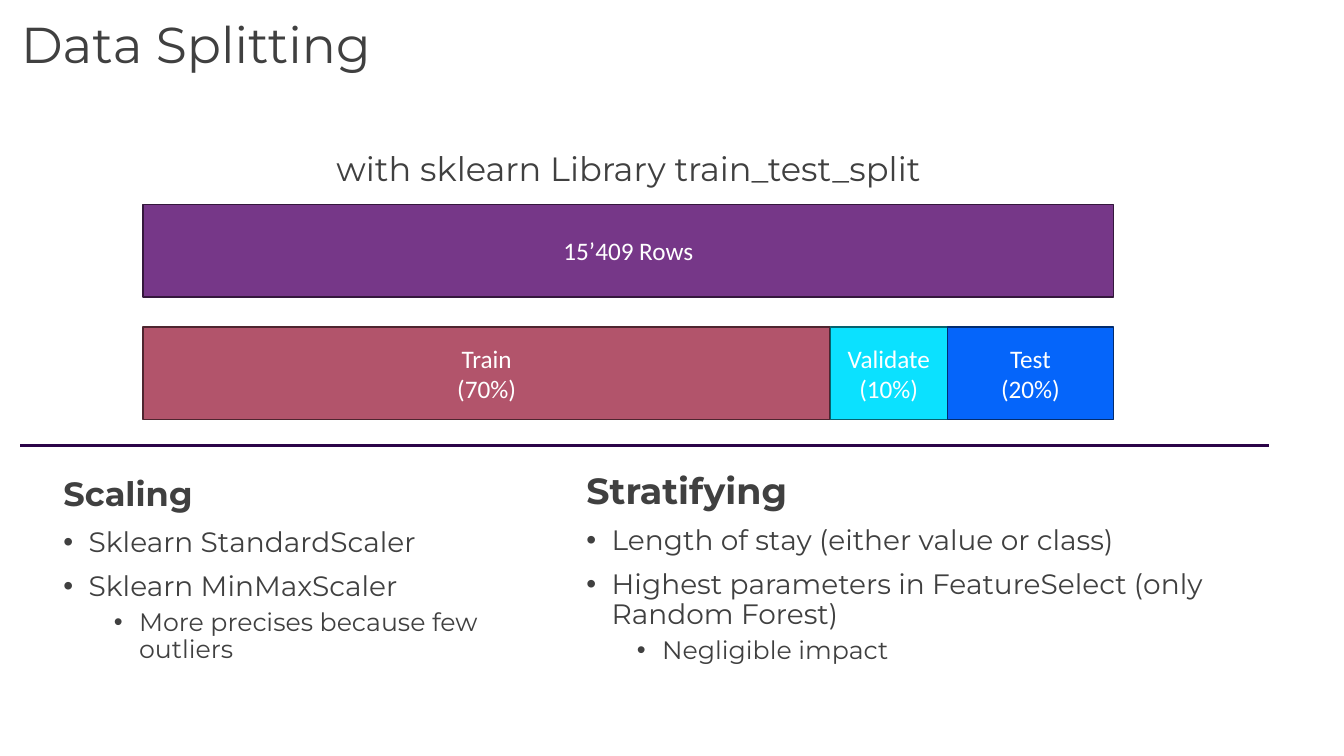
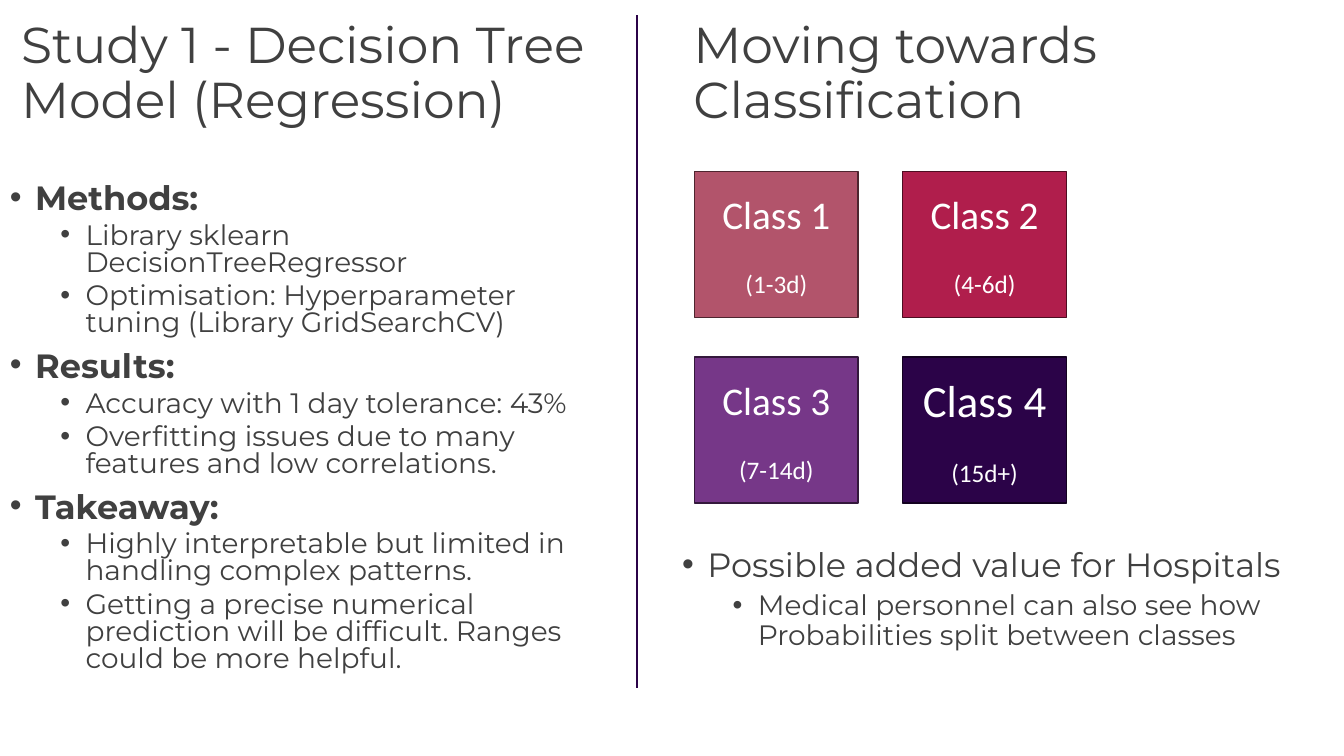
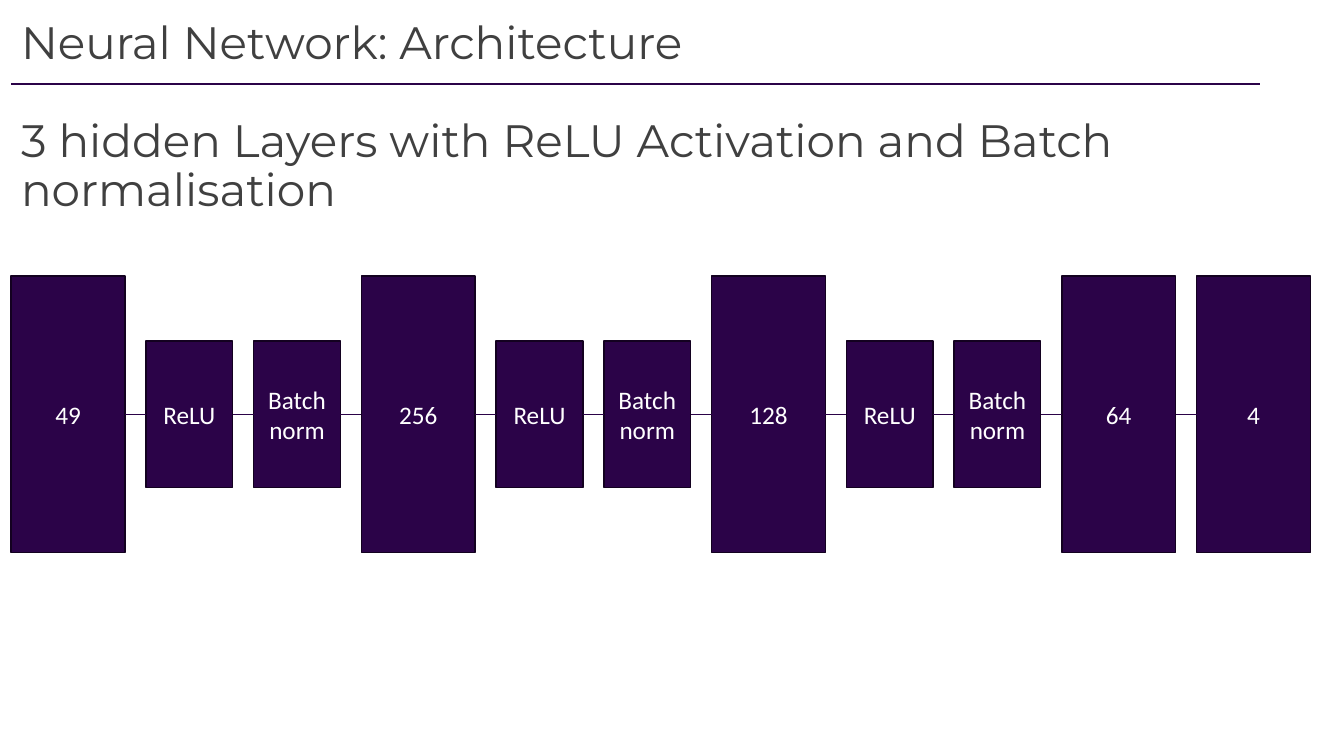
from dataclasses import dataclass
from itertools import pairwise

from lxml.etree import SubElement
from pptx import Presentation
from pptx.dml.color import RGBColor
from pptx.enum.shapes import MSO_CONNECTOR, MSO_SHAPE
from pptx.enum.text import MSO_ANCHOR, PP_ALIGN
from pptx.oxml.ns import qn
from pptx.util import Inches, Pt

# Shared look
WIDTH, HEIGHT = Inches(13.33), Inches(7.5)
TEXT_FONT, SHAPE_FONT = "Montserrat", "Calibri"
GREY = RGBColor(0x40, 0x40, 0x40)
WHITE = RGBColor(0xFF, 0xFF, 0xFF)
INDIGO = RGBColor(0x2B, 0x03, 0x48)
PURPLE = RGBColor(0x76, 0x37, 0x88)
ROSE = RGBColor(0xB2, 0x54, 0x6B)
CRIMSON = RGBColor(0xB0, 0x1E, 0x4C)
CYAN = RGBColor(0x0B, 0xE1, 0xFF)
BLUE = RGBColor(0x05, 0x65, 0xFA)
OUTLINE_SHADE = 0.44


@dataclass
class Box:
    """A region in percent of the slide's width and height."""
    left: float
    top: float
    width: float
    height: float

    def inner(self, left, top, width, height):
        """Return a region given as shares of this one."""
        return Box(self.left + left * self.width, self.top + top * self.height,
                   width * self.width, height * self.height)

    def lengths(self):
        return (int(WIDTH * self.left / 100), int(HEIGHT * self.top / 100),
                int(WIDTH * self.width / 100), int(HEIGHT * self.height / 100))


@dataclass
class Line:
    """One paragraph of a text box; level None has no bullet."""
    text: str
    size: float
    level: int | None = None
    bold: bool = False


TITLE = Box(0.83, 2, 86.25, 19.33)
LEFT_TITLE = Box(0.83, 2, 49.2, 19.33)
RIGHT_TITLE = Box(50.85, 2, 49.15, 19.33)


def format_runs(paragraph, font, size, color, bold=False):
    for run in paragraph.runs:
        run.font.name = font
        run.font.size = Pt(size)
        run.font.bold = bold
        run.font.color.rgb = color


def add_bullet(paragraph, level):
    paragraph.level = level
    properties = paragraph._p.get_or_add_pPr()
    properties.set("marL", str(Inches(0.25 + 0.5 * level)))
    properties.set("indent", str(Inches(-0.25)))
    SubElement(properties, qn("a:buFont"), typeface="Arial")
    SubElement(properties, qn("a:buChar"), char="•")


def add_text(slide, box, lines, spacing=0.9, align=PP_ALIGN.LEFT, gap=10):
    text_frame = slide.shapes.add_textbox(*box.lengths()).text_frame
    text_frame.word_wrap = True
    text_frame.text = "\n".join(line.text for line in lines)
    for index, (paragraph, line) in enumerate(zip(text_frame.paragraphs, lines)):
        if line.level is not None:
            add_bullet(paragraph, line.level)
        paragraph.alignment = align
        paragraph.line_spacing = spacing
        if index:
            paragraph.space_before = Pt(5 if line.level == 1 else gap)
        format_runs(paragraph, TEXT_FONT, line.size, GREY, line.bold)


def add_title(slide, box, text):
    add_text(slide, box, [Line(text, 36)])


def add_block(slide, box, text, fill, size=18):
    """Add a filled rectangle with a darker outline and centred white text."""
    shape = slide.shapes.add_shape(MSO_SHAPE.RECTANGLE, *box.lengths())
    shape.shadow.inherit = False
    shape.fill.solid()
    shape.fill.fore_color.rgb = fill
    shape.line.color.rgb = RGBColor(*(round(channel * OUTLINE_SHADE) for channel in fill))
    shape.line.width = Pt(1)
    text_frame = shape.text_frame
    text_frame.word_wrap = True
    text_frame.vertical_anchor = MSO_ANCHOR.MIDDLE
    text_frame.text = text
    for paragraph in text_frame.paragraphs:
        paragraph.alignment = PP_ALIGN.CENTER
        format_runs(paragraph, SHAPE_FONT, size, WHITE)
    return shape


def add_line(slide, box, width):
    """Draw a line from the top left to the bottom right of the box."""
    left, top, across, down = box.lengths()
    line = slide.shapes.add_connector(MSO_CONNECTOR.STRAIGHT, left, top,
                                      left + across, top + down)
    line.line.color.rgb = INDIGO
    line.line.width = Pt(width)
    SubElement(line._element.spPr, qn("a:effectLst"))
    return line


def add_split_bars(slide, box):
    """All rows on top, their division below."""
    bar_height = 0.43
    add_block(slide, box.inner(0, 0, 1, bar_height), "15’409 Rows", PURPLE)
    subsets = [("Train\n(70%)", ROSE, 6.81), ("Validate\n(10%)", CYAN, 1.16),
               ("Test\n(20%)", BLUE, 1.65)]
    total = sum(weight for _, _, weight in subsets)
    left = 0
    for text, fill, weight in subsets:
        share = weight / total
        add_block(slide, box.inner(left, 1 - bar_height, share, bar_height), text, fill)
        left += share


def add_class_grid(slide, box):
    """Two by two classes with their length of stay."""
    classes = [("Class 1", "(1-3d)", ROSE, 28), ("Class 2", "(4-6d)", CRIMSON, 28),
               ("Class 3", "(7-14d)", PURPLE, 28), ("Class 4", "(15d+)", INDIGO, 32)]
    cell = 0.44
    for index, (name, days, fill, size) in enumerate(classes):
        row, column = divmod(index, 2)
        place = box.inner(column * (1 - cell), row * (1 - cell), cell, cell)
        shape = add_block(slide, place, f"{name}\n{days}", fill, size)
        days_paragraph = shape.text_frame.paragraphs[1]
        days_paragraph.space_before = Pt(22)
        format_runs(days_paragraph, SHAPE_FONT, 18, WHITE)


def add_network(slide, box):
    """Evenly spaced layers and steps, each joined to the next."""
    layer_width, step_width, step_height = 8.47, 6.45, 0.53
    steps = ["ReLU", "Batch\nnorm"]
    labels = ["49", *steps, "256", *steps, "128", *steps, "64", "4"]
    widths = [step_width if label in steps else layer_width for label in labels]
    gap = (box.width - sum(widths)) / (len(labels) - 1)
    left, blocks = 0, []
    for label, width in zip(labels, widths):
        height = step_height if label in steps else 1
        place = box.inner(left / box.width, (1 - height) / 2, width / box.width, height)
        blocks.append(add_block(slide, place, label, INDIGO))
        left += width + gap
    for before, after in pairwise(blocks):
        link = add_line(slide, box, 0.5)
        link.begin_connect(before, 3)
        link.end_connect(after, 1)


def build_splitting(slide):
    add_title(slide, TITLE, "Data Splitting")
    add_text(slide, Box(10.65, 19.47, 72.22, 6.53),
             [Line("with sklearn Library train_test_split", 24)], align=PP_ALIGN.CENTER)
    add_split_bars(slide, Box(10.65, 27.07, 72.22, 28.4))
    add_line(slide, Box(1.5, 58.93, 92.93, 0), 1.5)
    # Preparation steps
    add_text(slide, Box(42.9, 61.87, 53.33, 33.87), [
        Line("Stratifying", 26, bold=True),
        Line("Length of stay (either value or class)", 20, 0),
        Line("Highest parameters in FeatureSelect (only Random Forest)", 20, 0),
        Line("Negligible impact", 18, 1)])
    add_text(slide, Box(3.98, 62.53, 38.93, 30.8), [
        Line("Scaling", 24, bold=True),
        Line("Sklearn StandardScaler", 20, 0),
        Line("Sklearn MinMaxScaler", 20, 0),
        Line("More precises because few outliers", 18, 1)])


def build_study(slide):
    # Left half: regression study
    add_title(slide, LEFT_TITLE, "Study 1 - Decision Tree Model (Regression)")
    findings = {
        "Methods:": ["Library sklearn DecisionTreeRegressor",
                     "Optimisation: Hyperparameter tuning (Library GridSearchCV)"],
        "Results:": ["Accuracy with 1 day tolerance: 43%",
                     "Overfitting issues due to many features and low correlations."],
        "Takeaway:": ["Highly interpretable but limited in handling complex patterns.",
                      "Getting a precise numerical prediction will be difficult. "
                      "Ranges could be more helpful."]}
    lines = []
    for heading, points in findings.items():
        lines.append(Line(heading, 24, 0, bold=True))
        lines.extend(Line(point, 20, 1) for point in points)
    add_text(slide, Box(0, 23.73, 46.5, 71.07), lines, spacing=0.8)
    add_line(slide, Box(47.4, 2, 0, 89.07), 1)
    # Right half: classification
    add_title(slide, RIGHT_TITLE, "Moving towards Classification")
    add_class_grid(slide, Box(51.68, 22.67, 27.67, 43.87))
    add_text(slide, Box(50.02, 71.87, 46.5, 19.33), [
        Line("Possible added value for Hospitals", 24, 0),
        Line("Medical personnel can also see how Probabilities split between classes", 20, 1)])


def build_architecture(slide):
    add_text(slide, TITLE, [
        Line("Neural Network: Architecture", 32.4),
        Line("3 hidden Layers with ReLU Activation and Batch normalisation", 32.4)], gap=35.5)
    add_line(slide, Box(0.83, 11.07, 92.93, 0), 1.5)
    add_network(slide, Box(0.83, 36.53, 96.68, 36.53))


def main():
    presentation = Presentation()
    presentation.slide_width, presentation.slide_height = WIDTH, HEIGHT
    blank = presentation.slide_layouts[6]
    for build in (build_splitting, build_study, build_architecture):
        build(presentation.slides.add_slide(blank))
    presentation.save("out.pptx")


if __name__ == "__main__":
    main()
